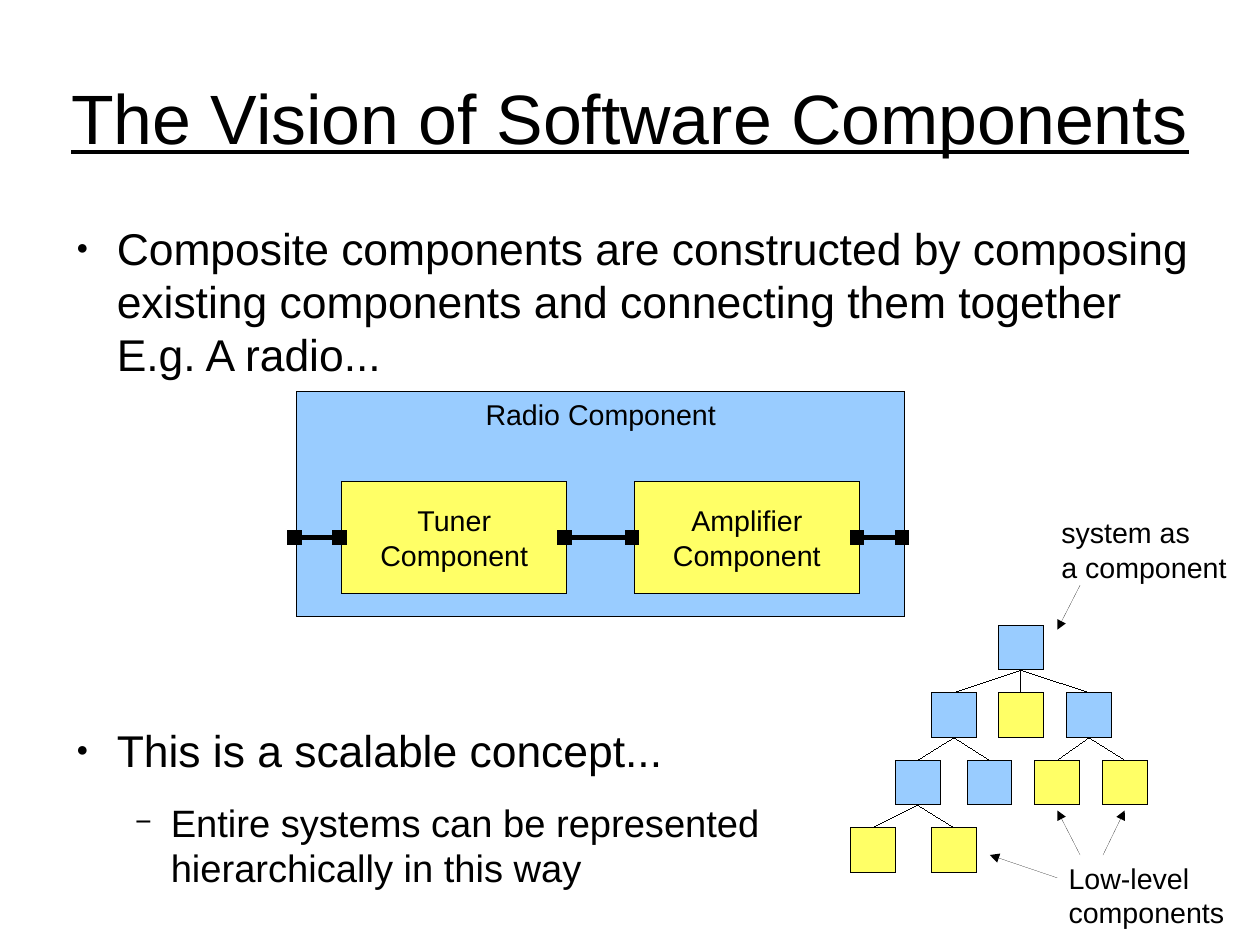
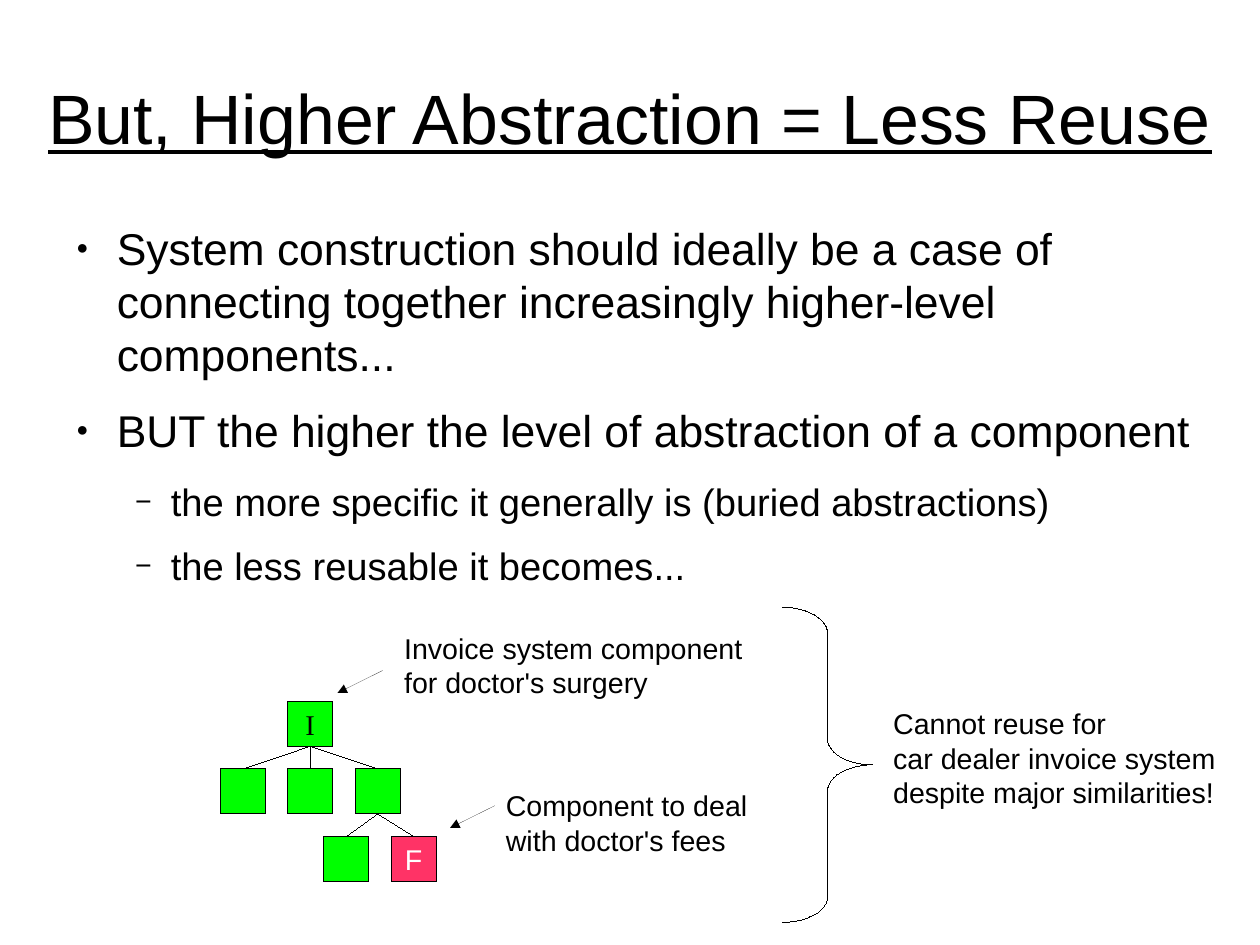
from lxml.etree import SubElement
from pptx import Presentation
from pptx.dml.color import RGBColor
from pptx.enum.shapes import MSO_CONNECTOR, MSO_SHAPE
from pptx.enum.text import MSO_ANCHOR, MSO_AUTO_SIZE, PP_ALIGN
from pptx.oxml.ns import qn
from pptx.util import Pt

COLOURS = {
    "ink": "000000",
    "paper": "FFFFFF",
    "composite": "99CCFF",
    "primitive": "FFFF66",
    "invoice": "00FF00",
    "fees": "FF3366",
}
TITLE_FORMAT = {"name": "Arial", "size": Pt(44), "underline": True, "bold": False}
LABEL_FORMAT = {"name": "Arial", "size": Pt(18)}
SERIF_FORMAT = {"name": "Times New Roman", "size": Pt(18)}
FRAME_FORMAT = {"word_wrap": True, "auto_size": MSO_AUTO_SIZE.NONE}
BODY_LEVELS = [
    {"size": 28, "margin": 34, "hang": 25.5, "after": 14.1, "bullet": "●", "percent": 45},
    {"size": 24, "margin": 68, "hang": 22.5, "after": 11.3, "bullet": "−", "percent": 75},
]
NODE_SIZE = 28.3
ROW_STEP = 42.5
PORT_SIZE = 8.5
PORT_TOP = 334.3


def colour(name):
    return RGBColor.from_string(COLOURS[name])


def apply_format(target, values):
    for name, value in values.items():
        setattr(target, name, value)


def format_runs(paragraph, values, ink="ink"):
    for run in paragraph.runs:
        apply_format(run.font, values)
        run.font.color.rgb = colour(ink)


def write_text(shape, text, values=LABEL_FORMAT, ink="ink", align=PP_ALIGN.LEFT,
               anchor=MSO_ANCHOR.TOP, margins=(7.2, 3.6)):
    frame = shape.text_frame
    apply_format(frame, FRAME_FORMAT)
    frame.vertical_anchor = anchor
    frame.margin_left = frame.margin_right = Pt(margins[0])
    frame.margin_top = frame.margin_bottom = Pt(margins[1])
    frame.text = text
    for paragraph in frame.paragraphs:
        paragraph.alignment = align
        format_runs(paragraph, values, ink)


def add_titled_slide(presentation, text):
    slide = presentation.slides.add_slide(presentation.slide_layouts[5])
    title = slide.shapes.title
    apply_format(title, {"left": Pt(14.4), "top": Pt(23.8), "width": Pt(765), "height": Pt(99.4)})
    write_text(title, text, TITLE_FORMAT, align=PP_ALIGN.CENTER,
               anchor=MSO_ANCHOR.MIDDLE, margins=(0, 0))
    return slide


def add_bullet(paragraph, level):
    properties = paragraph._p.get_or_add_pPr()
    properties.set("marL", str(Pt(level["margin"])))
    properties.set("indent", str(-Pt(level["hang"])))
    bullet_colour = SubElement(properties, qn("a:buClr"))
    SubElement(bullet_colour, qn("a:srgbClr"), val=COLOURS["ink"])
    SubElement(properties, qn("a:buSzPct"), val=str(level["percent"] * 1000))
    SubElement(properties, qn("a:buFont"), typeface="Arial")
    SubElement(properties, qn("a:buChar"), char=level["bullet"])


def add_body(slide, height, items):
    body = slide.shapes.add_textbox(Pt(39.6), Pt(139), Pt(714.5), Pt(height))
    frame = body.text_frame
    write_text(body, "\n".join(text for text, *_ in items), margins=(0, 0))
    for paragraph, (_, depth, *after) in zip(frame.paragraphs, items):
        level = BODY_LEVELS[depth]
        add_bullet(paragraph, level)
        paragraph.level = depth
        paragraph.space_before = Pt(0)
        paragraph.space_after = Pt(after[0] if after else level["after"])
        format_runs(paragraph, {"size": Pt(level["size"])})


def add_label(slide, left, top, width, height, text):
    write_text(slide.shapes.add_textbox(Pt(left), Pt(top), Pt(width), Pt(height)), text)


def set_outline(shape, width=0):
    shape.line.color.rgb = colour("ink")
    outline = shape._element.spPr.find(qn("a:ln"))
    outline.set("w", str(Pt(width)))
    return outline


def add_box(slide, left, top, width, height, fill, kind=MSO_SHAPE.RECTANGLE):
    shape = slide.shapes.add_shape(kind, Pt(left), Pt(top), Pt(width), Pt(height))
    shape.shadow.inherit = False
    if fill:
        shape.fill.solid()
        shape.fill.fore_color.rgb = colour(fill)
    else:
        shape.fill.background()
    set_outline(shape)
    return shape


def add_line(slide, start=(0, 0), end=(0, 0), width=0, arrow=False):
    line = slide.shapes.add_connector(MSO_CONNECTOR.STRAIGHT, *map(Pt, start + end))
    outline = set_outline(line, width)
    if arrow:
        SubElement(outline, qn("a:tailEnd"), type="triangle")
    SubElement(line._element.spPr, qn("a:effectLst"))
    return line


def join(slide, first, first_site, second, second_site, width=0):
    line = add_line(slide, width=width)
    line.begin_connect(first, first_site)
    line.end_connect(second, second_site)


def add_tree(slide, top, nodes):
    boxes = [add_box(slide, left, top + row * ROW_STEP, NODE_SIZE, NODE_SIZE, fill)
             for left, row, fill, _ in nodes]
    for box, (*_, parent) in zip(boxes, nodes):
        if parent is not None:
            join(slide, boxes[parent], 2, box, 0)
    return boxes


def add_arrows(slide, arrows):
    for start, end in arrows:
        add_line(slide, start, end, arrow=True)


def add_radio(slide):
    parts = [
        (187, 246.6, 382.7, 141.7, "composite", "Radio Component", MSO_ANCHOR.TOP),
        (215.3, 303.2, 141.7, 70.8, "primitive", "Tuner\nComponent", MSO_ANCHOR.MIDDLE),
        (399.6, 303.2, 141.7, 70.8, "primitive", "Amplifier\nComponent", MSO_ANCHOR.MIDDLE),
    ]
    for *place, fill, text, anchor in parts:
        box = add_box(slide, *place, fill)
        write_text(box, text, align=PP_ALIGN.CENTER, anchor=anchor)
    for pair in [(181.2, 209.5), (351.4, 393.9), (535.7, 564)]:
        ports = [add_box(slide, left, PORT_TOP, PORT_SIZE, PORT_SIZE, "ink") for left in pair]
        join(slide, ports[0], 3, ports[1], 1, 2.83)


def build_vision_slide(presentation):
    slide = add_titled_slide(presentation, "The Vision of Software Components")
    add_body(slide, 425, [
        ("Composite components are constructed by composing existing components "
         "and connecting them together\vE.g. A radio...", 0, 215.7),
        ("This is a scalable concept...", 0),
        ("Entire systems can be represented\vhierarchically in this way", 1),
    ])
    add_tree(slide, 393.8, [
        (629, 0, "composite", None),
        (586.8, 1, "composite", 0),
        (629, 1, "primitive", 0),
        (671.8, 1, "composite", 0),
        (563.9, 2, "composite", 1),
        (609.2, 2, "composite", 1),
        (535.7, 3, "primitive", 4),
        (586.8, 3, "primitive", 4),
        (651.8, 2, "primitive", 3),
        (694.5, 2, "primitive", 3),
    ])
    add_radio(slide)
    add_label(slide, 661.5, 321, 124, 47.5, "system as\na component")
    add_label(slide, 666, 538.5, 120, 47.5, "Low-level\ncomponents")
    add_arrows(slide, [
        ((680.4, 368.6), (666, 396.7)),
        ((694.8, 538.6), (708.5, 510.5)),
        ((680.4, 538.6), (666, 510.5)),
        ((666, 553), (623.5, 538.6)),
    ])


def build_reuse_slide(presentation):
    slide = add_titled_slide(presentation, "But, Higher Abstraction = Less Reuse")
    add_body(slide, 393, [
        ("System construction should ideally be a case of connecting together "
         "increasingly higher-level components...", 0),
        ("BUT the higher the level of abstraction of a component", 0),
        ("the more specific it generally is (buried abstractions)", 1),
        ("the less reusable it becomes...", 1),
    ])
    boxes = add_tree(slide, 441.8, [
        (181.2, 0, "invoice", None),
        (138.8, 1, "invoice", 0),
        (181.2, 1, "invoice", 0),
        (223.8, 1, "invoice", 0),
        (204, 2, "invoice", 3),
        (246.5, 2, "fees", 3),
    ])
    for box, text, values, ink in [(boxes[0], "I", SERIF_FORMAT, "ink"),
                                   (boxes[-1], "F", LABEL_FORMAT, "paper")]:
        write_text(box, text, values, ink, PP_ALIGN.CENTER, MSO_ANCHOR.MIDDLE, (0, 0))
    add_label(slide, 247.5, 393.7, 235, 47.5, "Invoice system component\nfor doctor's surgery")
    add_label(slide, 311.6, 493, 175, 47.5, "Component to deal\nwith doctor's fees")
    add_label(slide, 555.6, 441.4, 232, 85, "Cannot reuse for\ncar dealer invoice system\n"
              "despite major similarities!")
    add_arrows(slide, [
        ((241, 422.4), (212.6, 436.5)),
        ((311.8, 507.5), (283.5, 521.5)),
    ])
    brace = add_box(slide, 493, 382.5, 56.7, 198.5, None, MSO_SHAPE.RIGHT_BRACE)
    brace.adjustments[0] = 0.29


def main():
    presentation = Presentation()
    apply_format(presentation, {"slide_width": Pt(793.7), "slide_height": Pt(595.28)})
    build_vision_slide(presentation)
    build_reuse_slide(presentation)
    presentation.save("out.pptx")


if __name__ == "__main__":
    main()
